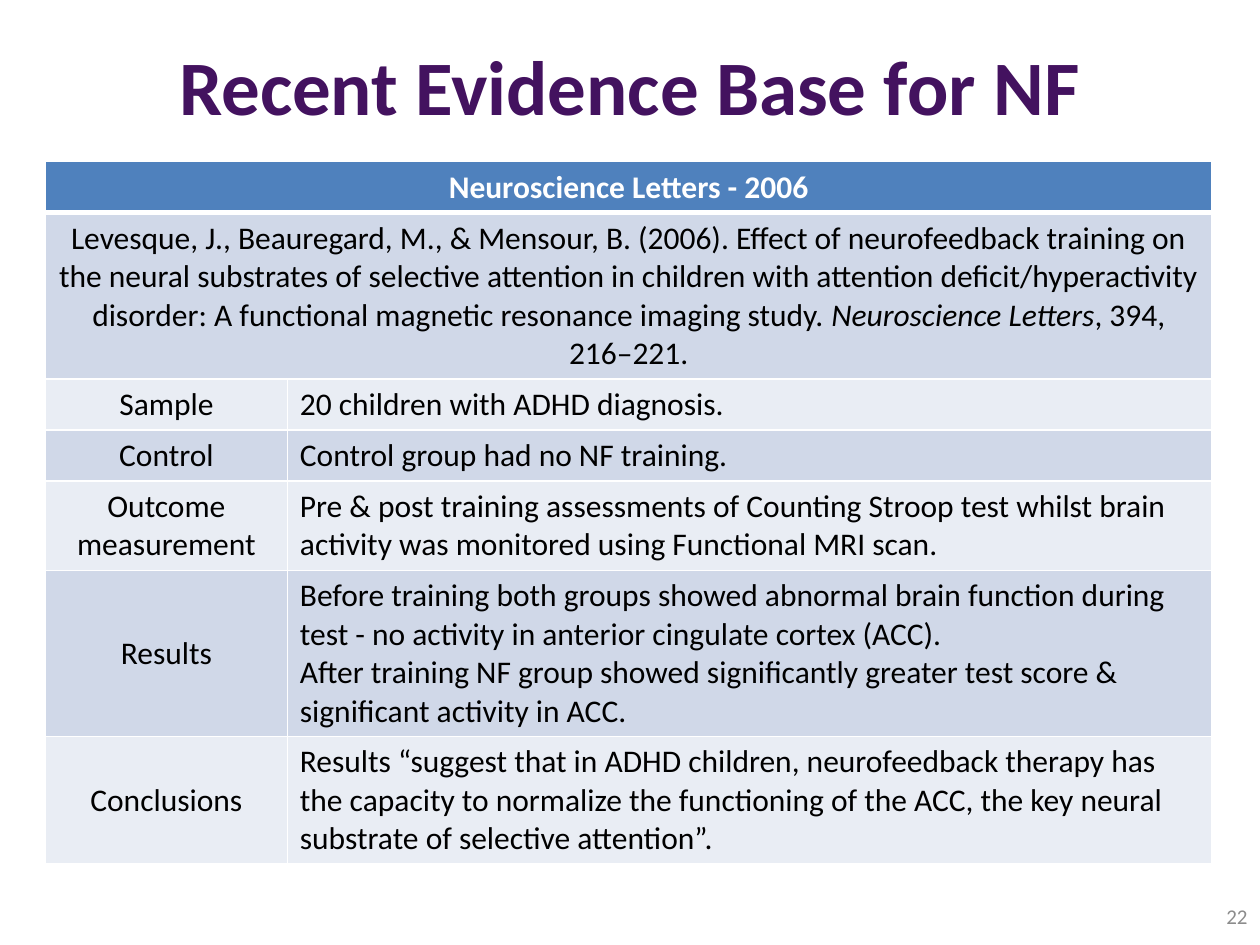
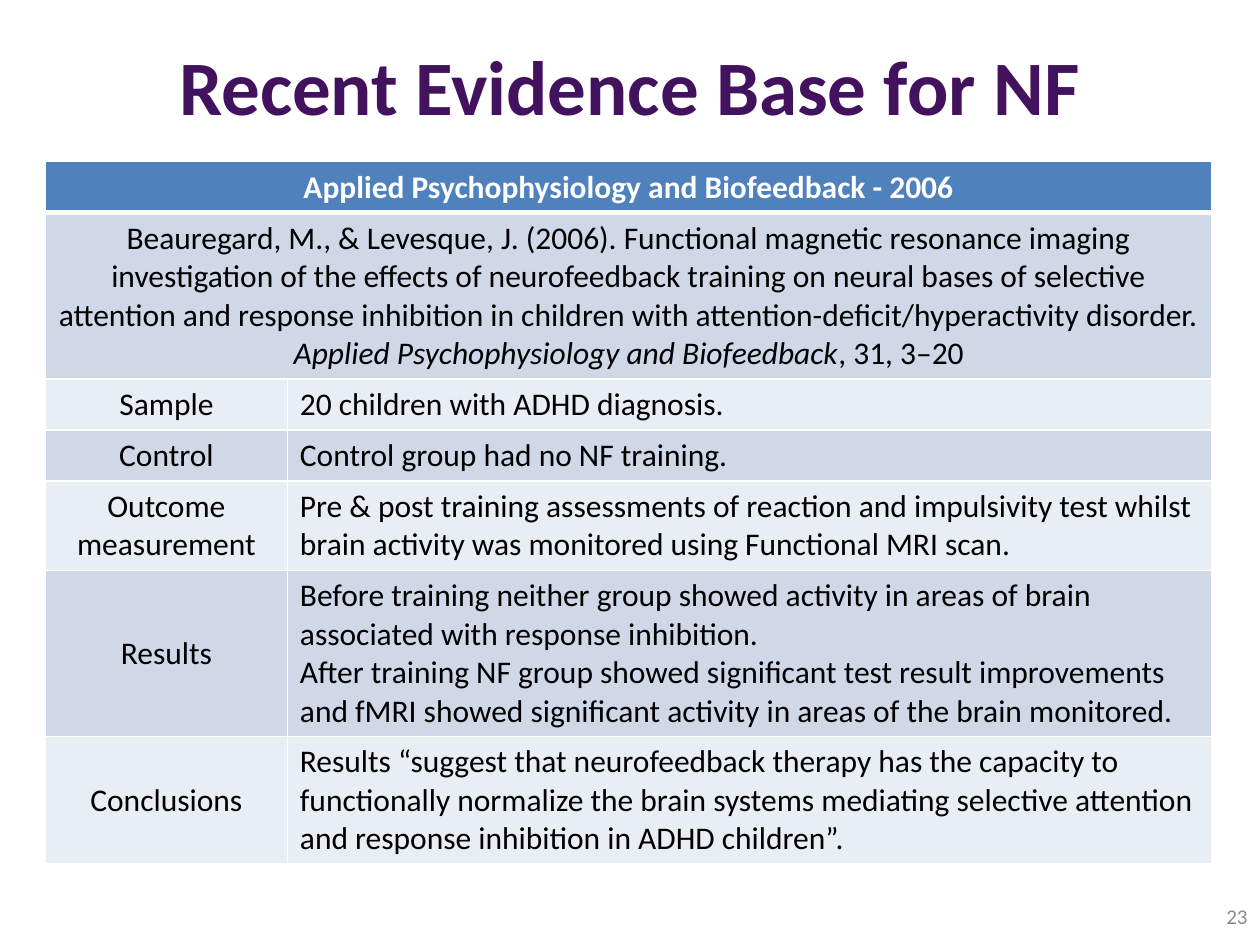
from lxml import etree
from pptx import Presentation
from pptx.dml.color import RGBColor
from pptx.enum.text import MSO_ANCHOR, PP_ALIGN
from pptx.oxml.ns import qn
from pptx.util import Pt

CENTER, LEFT, RIGHT = PP_ALIGN.CENTER, PP_ALIGN.LEFT, PP_ALIGN.RIGHT
MIDDLE, TOP = MSO_ANCHOR.MIDDLE, MSO_ANCHOR.TOP

COLORS = {
    "title": "43125F",
    "number": "8C8C8C",
    "header": "4F81BD",
    "band_dark": "D0D8E8",
    "band_light": "E9EDF4",
    "text": "000000",
    "white": "FFFFFF",
}
FONT = "Calibri"
TITLE = "Recent Evidence Base for NF"
FIRST_NUMBER = 22
LABELS = ["Sample", "Control", "Outcome measurement", "Results", "Conclusions"]
ROW_LINES = [1, 4, 1, 1, 2, 4, 3]
LINE_HEIGHT, CELL_PADDING = 21.9, 7.3
COLUMN_WIDTHS = [138.2, 528.4]

STUDIES = [
    {
        "journal": "Neuroscience Letters",
        "citation": "Levesque, J., Beauregard, M., & Mensour, B. (2006). Effect of "
                    "neurofeedback training on the neural substrates of selective attention "
                    "in children with attention deficit/hyperactivity disorder: A functional "
                    "magnetic resonance imaging study. ",
        "pages": ", 394, 216–221.",
        "findings": [
            "20 children with ADHD diagnosis.",
            "Control group had no NF training.",
            "Pre & post training assessments of Counting Stroop test whilst brain activity "
            "was monitored using Functional MRI scan.",
            "Before training both groups showed abnormal brain function during test - no "
            "activity in anterior cingulate cortex (ACC).\n"
            "After training NF group showed significantly greater test score & significant "
            "activity in ACC.",
            "Results “suggest that in ADHD children, neurofeedback therapy has the capacity "
            "to normalize the functioning of the ACC, the key neural substrate of selective "
            "attention”.",
        ],
    },
    {
        "journal": "Applied Psychophysiology and Biofeedback",
        "citation": "Beauregard, M., & Levesque, J. (2006). Functional magnetic resonance "
                    "imaging investigation of the effects of neurofeedback training on neural "
                    "bases of selective attention and response inhibition in children with "
                    "attention-deficit/hyperactivity disorder. ",
        "pages": ", 31, 3–20",
        "findings": [
            "20 children with ADHD diagnosis.",
            "Control group had no NF training.",
            "Pre & post training assessments of reaction and impulsivity test whilst brain "
            "activity was monitored using Functional MRI scan.",
            "Before training neither group showed activity in areas of brain associated with "
            "response inhibition.\n"
            "After training NF group showed significant test result improvements and fMRI "
            "showed significant activity in areas of the brain monitored.",
            "Results “suggest that neurofeedback therapy has the capacity to functionally "
            "normalize the brain systems mediating selective attention and response "
            "inhibition in ADHD children”.",
        ],
    },
]


class EvidenceDeck:
    """Holds the shared style and the current slide."""

    def __init__(self):
        self.deck = Presentation()
        self.deck.slide_width, self.deck.slide_height = Pt(720), Pt(540)
        self.page = None

    def add_page(self):
        self.page = self.deck.slides.add_slide(self.deck.slide_layouts[5])

    def format_text(self, frame, size, color, align, bold=False):
        for para in frame.paragraphs:
            para.alignment = align
            for span in para.runs:
                span.font.name = FONT
                span.font.size = Pt(size)
                span.font.bold = bold
                span.font.color.rgb = RGBColor.from_string(COLORS[color])

    def add_title(self, text):
        title = self.page.shapes.title
        title.left, title.top, title.width, title.height = Pt(36), Pt(3.6), Pt(648), Pt(90)
        title.text_frame.text = text
        title.text_frame.vertical_anchor = MIDDLE
        self.format_text(title.text_frame, 44, "title", CENTER, bold=True)

    def add_number(self, number):
        box = self.page.shapes.add_textbox(Pt(673.9), Pt(509.1), Pt(46.1), Pt(28.8))
        box.text_frame.word_wrap = True
        box.text_frame.vertical_anchor = MIDDLE
        box.text_frame.text = str(number)
        self.format_text(box.text_frame, 12, "number", RIGHT)

    def style_cell(self, cell, fill, top, bottom):
        cell.fill.solid()
        cell.fill.fore_color.rgb = RGBColor.from_string(COLORS[fill])
        properties = cell._tc.get_or_add_tcPr()
        borders = [("a:lnL", 1), ("a:lnR", 1), ("a:lnT", top), ("a:lnB", bottom)]
        for index, (tag, width) in enumerate(borders):
            line = etree.Element(qn(tag), w=str(Pt(width)))
            solid = etree.SubElement(line, qn("a:solidFill"))
            etree.SubElement(solid, qn("a:srgbClr"), val=COLORS["white"])
            properties.insert(index, line)

    def fill_cell(self, cell, text, align, anchor, color="text", bold=False):
        cell.text_frame.text = text
        cell.vertical_anchor = anchor
        self.format_text(cell.text_frame, 18, color, align, bold)

    def fill_citation(self, cell, study):
        para = cell.text_frame.paragraphs[0]
        for part in ("citation", "journal", "pages"):
            span = para.add_run()
            span.text = study[part]
            span.font.italic = part == "journal"
        cell.vertical_anchor = MIDDLE
        self.format_text(cell.text_frame, 18, "text", CENTER)

    def add_study(self, study):
        heights = [CELL_PADDING + LINE_HEIGHT * lines for lines in ROW_LINES]
        table = self.page.shapes.add_table(
            len(heights), len(COLUMN_WIDTHS), Pt(26), Pt(92.4),
            Pt(sum(COLUMN_WIDTHS)), Pt(sum(heights))).table
        table.first_row = table.horz_banding = False
        for column, width in zip(table.columns, COLUMN_WIDTHS):
            column.width = Pt(width)
        for index, (row, height) in enumerate(zip(table.rows, heights)):
            row.height = Pt(height)
            band = "band_dark" if index % 2 else "band_light"
            for cell in row.cells:
                self.style_cell(cell, band if index else "header",
                                3 if index == 1 else 1, 1 if index else 3)
        for index in range(2):
            table.cell(index, 0).merge(table.cell(index, 1))
        self.fill_cell(table.cell(0, 0), f"{study['journal']} - 2006", CENTER, TOP,
                       "white", bold=True)
        self.fill_citation(table.cell(1, 0), study)
        for index, (label, finding) in enumerate(zip(LABELS, study["findings"]), 2):
            self.fill_cell(table.cell(index, 0), label, CENTER, MIDDLE)
            self.fill_cell(table.cell(index, 1), finding, LEFT, TOP)


def main():
    evidence = EvidenceDeck()
    for number, study in enumerate(STUDIES, FIRST_NUMBER):
        evidence.add_page()
        evidence.add_title(TITLE)
        evidence.add_number(number)
        evidence.add_study(study)
    evidence.deck.save("out.pptx")


if __name__ == "__main__":
    main()
